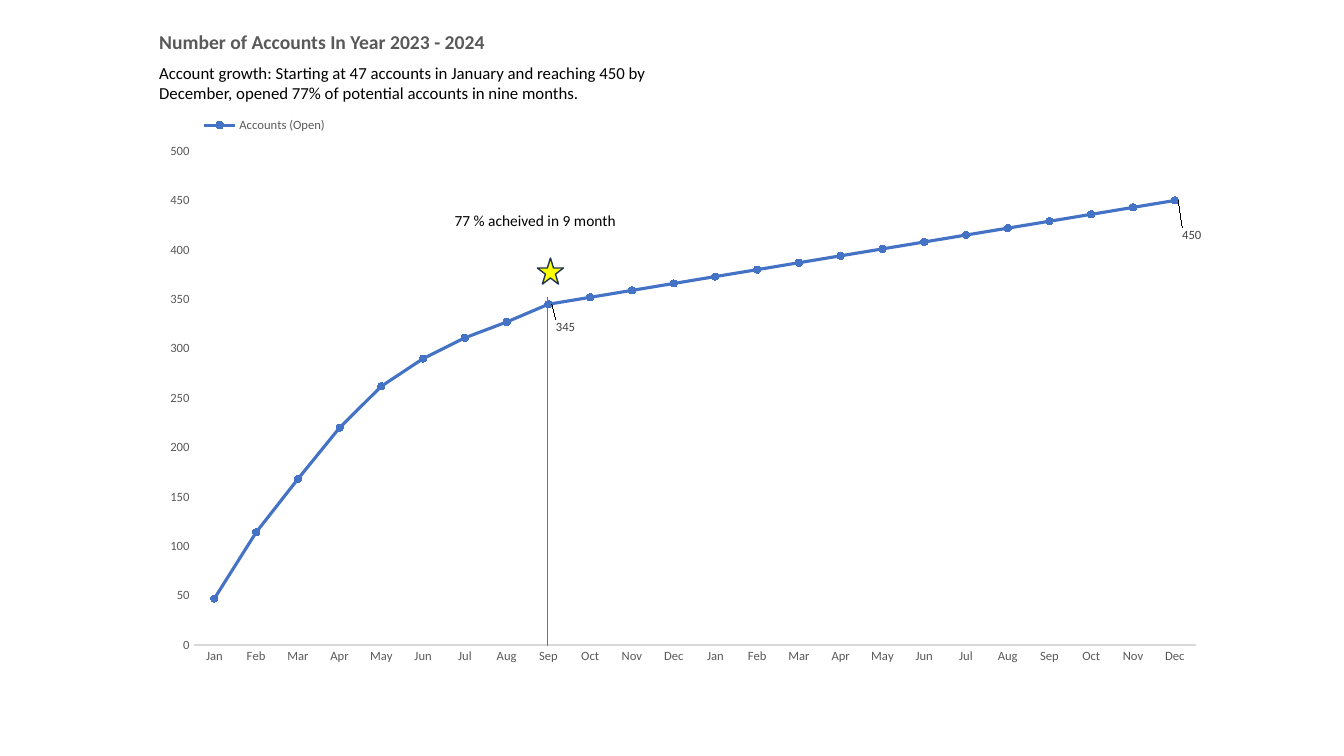
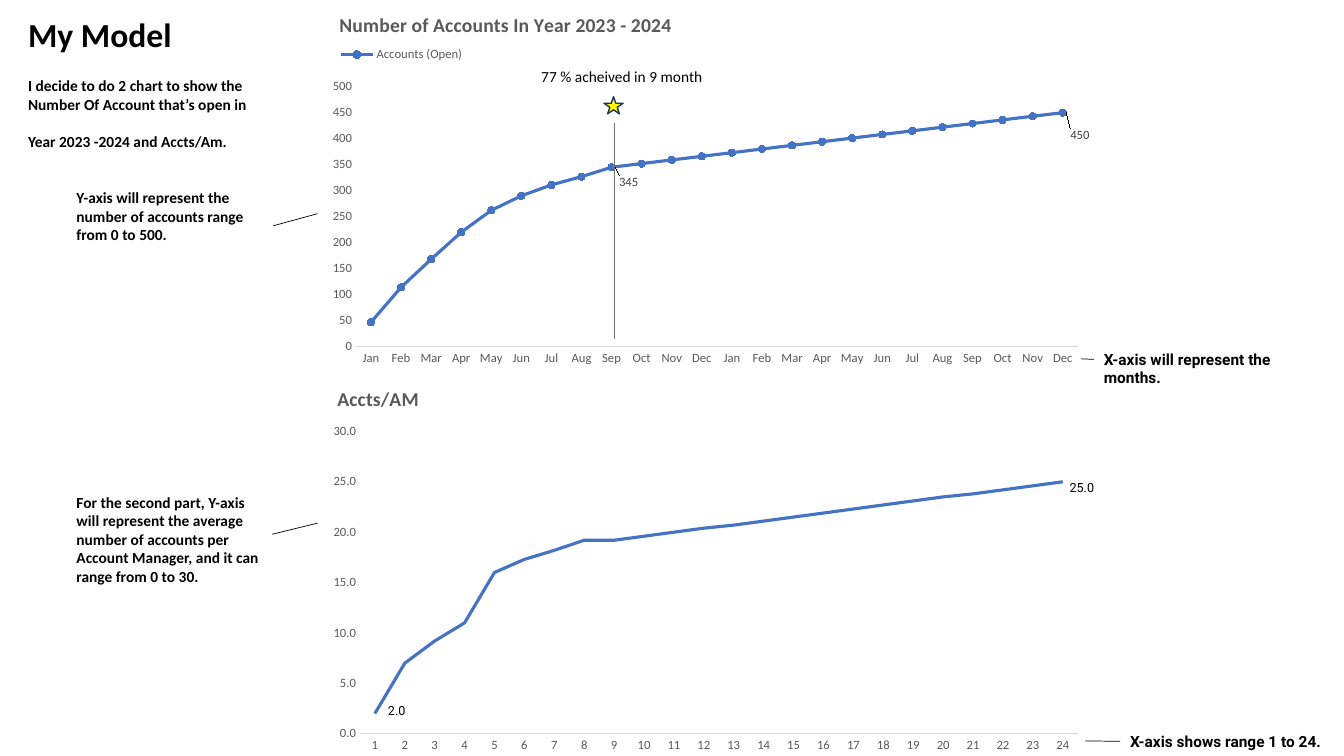
from lxml import etree
from pptx import Presentation
from pptx.chart.data import CategoryChartData
from pptx.dml.color import RGBColor
from pptx.enum.chart import XL_CHART_TYPE as ChartType
from pptx.enum.chart import XL_LABEL_POSITION as LabelPosition
from pptx.enum.chart import XL_LEGEND_POSITION as LegendPosition
from pptx.enum.chart import XL_MARKER_STYLE as MarkerStyle
from pptx.enum.chart import XL_TICK_MARK as TickMark
from pptx.enum.shapes import MSO_CONNECTOR as Connector
from pptx.enum.shapes import MSO_SHAPE as Shape
from pptx.oxml.ns import qn
from pptx.util import Inches, Pt

COLORS = {
    "text": "000000", "heading": "595959", "label": "404040", "series": "4472C4",
    "axis": "D9D9D9", "marker_line": "767171", "star": "FFFF00", "star_line": "1E3256",
}
BODY, ACCENT = "Calibri", "Roboto"
LEFT, RIGHT = 1, 3

MONTHS = "Jan Feb Mar Apr May Jun Jul Aug Sep Oct Nov Dec".split()
ACCOUNTS = [47, 114, 168, 220, 262, 290, 311, 327, 345] + list(range(352, 451, 7))
PER_MANAGER = [2, 7, 9.2, 11, 16, 17.3, 18.2, 19.2, 19.2, 19.6, 20, 20.4, 20.7, 21.1,
               21.5, 21.9, 22.3, 22.7, 23.1, 23.5, 23.8, 24.2, 24.6, 25]
ACCOUNTS_TITLE = "Number of Accounts In Year 2023 - 2024"
MILESTONE = "77 % acheived in 9 month"
LABELLED_POINTS = {8: 0.04, 23: 0.06}

ACCOUNTS_CHART = dict(name="Accounts (Open)", categories=MONTHS * 2, values=ACCOUNTS,
                      top_value=500, step=50, number_format="General", marked=True)
MANAGER_CHART = dict(name="Accts/AM", categories=[str(n) for n in range(1, 25)],
                     values=PER_MANAGER, top_value=30, step=5, number_format="0.0",
                     marked=False)

OVERVIEW = dict(frame=(1.48, 1.01, 10.59, 5.69), plot=(1.92, 1.5, 9.94, 4.9),
                legend_at=(1.98, 1.13))
OVERVIEW_MILESTONE = dict(line=(5.43, 6.41, 5.43, 2.95), note=(4.41, 2.05, 2.61, 0.34),
                          star=(5.33, 2.56, 0.26, 0.26))
OVERVIEW_TEXTS = [
    ((1.48, 0.25, 3.7, 0.57), [ACCOUNTS_TITLE], 14, True, BODY, "heading"),
    ((1.48, 0.57, 5.18, 0.5),
     ["Account growth: Starting at 47 accounts in January and reaching 450 by December, "
      "opened 77% of potential accounts in nine months."], 12, False, BODY, "text"),
]

MODEL_TOP = dict(frame=(3.15, -0.06, 7.7, 3.77), plot=(3.53, 0.86, 7.16, 2.58),
                 legend_at=(3.34, 0.43), title=ACCOUNTS_TITLE, title_at=(3.33, 0.08))
MODEL_BOTTOM = dict(frame=(3.15, 3.64, 7.7, 3.91), plot=(3.57, 4.28, 7.12, 3.0),
                    title="Accts/AM", title_at=(3.31, 3.79))
MODEL_MILESTONE = dict(line=(6.09, 3.36, 6.09, 1.22), note=(5.27, 0.62, 1.9, 0.32),
                       star=(5.99, 0.96, 0.19, 0.17))
MODEL_TEXTS = [
    ((0.18, 0.09, 1.9, 0.5), ["My Model"], 24, True, BODY, "text"),
    ((0.18, 0.71, 2.4, 0.84),
     ["I decide to do 2 chart to show the Number Of Account that’s open in",
      "Year 2023 -2024 and Accts/Am."], 11, True, BODY, "text"),
    ((0.66, 4.84, 2.05, 1.03),
     ["For the second part, Y-axis will represent the average number of accounts per "
      "Account Manager, and it can range from 0 to 30."], 11, True, BODY, "text"),
    ((3.75, 6.92, 0.6, 0.25), ["2.0"], 9, False, ACCENT, "text"),
    ((10.51, 4.71, 0.6, 0.25), ["25.0"], 9, False, ACCENT, "text"),
]
JOINED_NOTES = [
    ((0.66, 1.82, 2.05, 0.84),
     ["Y-axis will represent the number of accounts range from 0 to 500."],
     BODY, (3.15, 2.12), RIGHT),
    ((10.85, 3.42, 2.37, 0.29), ["X-axis will represent the months."],
     ACCENT, (10.72, 3.56), LEFT),
    ((11.11, 7.21, 2.22, 0.29), ["X-axis shows range 1 to 24."],
     ACCENT, (10.76, 7.35), LEFT),
]
MANAGER_POINTER = (2.7, 5.3, 3.15, 5.19)


def color(name):
    return RGBColor.from_string(COLORS[name])


def inches(values):
    return [Inches(value) for value in values]


def style_font(font, size, tone, face=BODY, bold=False):
    font.size, font.name, font.bold = Pt(size), face, bold
    font.color.rgb = color(tone)


def style_line(line, tone, width):
    line.color.rgb = color(tone)
    line.width = Pt(width)


def add_text(page, area, paragraphs, size, bold=False, face=BODY, tone="text"):
    box = page.shapes.add_textbox(*inches(area))
    frame = box.text_frame
    frame.word_wrap = True
    for number, text in enumerate(paragraphs):
        para = frame.add_paragraph() if number else frame.paragraphs[0]
        if number:
            para.space_before = Pt(13)
        span = para.add_run()
        span.text = text
        style_font(span.font, size, tone, face, bold)
    return box


def add_line(page, points, tone="text"):
    line = page.shapes.add_connector(Connector.STRAIGHT, *inches(points))
    style_line(line.line, tone, 0.5)
    etree.SubElement(line._element.spPr, qn("a:effectLst"))
    return line


def add_layout(parent, index, **settings):
    for old in parent.findall(qn("c:layout")):
        parent.remove(old)
    layout = etree.Element(qn("c:layout"))
    manual = etree.SubElement(layout, qn("c:manualLayout"))
    for tag, value in settings.items():
        etree.SubElement(manual, qn(f"c:{tag}")).set("val", str(value))
    parent.insert(index, layout)


def fractions(frame, at):
    left, top, width, height = frame
    return dict(x=round((at[0] - left) / width, 4), y=round((at[1] - top) / height, 4))


def style_axes(chart, top_value, step, number_format):
    months, amounts = chart.category_axis, chart.value_axis
    for axis in (months, amounts):
        axis.major_tick_mark = axis.minor_tick_mark = TickMark.NONE
        axis.has_major_gridlines = False
        style_font(axis.tick_labels.font, 9, "heading")
    style_line(months.format.line, "axis", 0.75)
    amounts.format.line.fill.background()
    amounts.minimum_scale, amounts.maximum_scale = 0, top_value
    amounts.major_unit = step
    amounts.tick_labels.number_format = number_format
    amounts.tick_labels.number_format_is_linked = False


def mark_series(series):
    series.marker.style, series.marker.size = MarkerStyle.CIRCLE, 5
    series.marker.format.fill.solid()
    series.marker.format.fill.fore_color.rgb = color("series")
    style_line(series.marker.format.line, "series", 0.75)
    series.data_labels.show_value = False
    for index, drop in LABELLED_POINTS.items():
        label = series.points[index].data_label
        label.position = LabelPosition.RIGHT
        style_font(label.font, 9, "label")
    for item in series.data_labels._element.findall(qn("c:dLbl")):
        drop = LABELLED_POINTS[int(item.find(qn("c:idx")).get("val"))]
        add_layout(item, 1, x=0, y=drop)


def add_line_chart(page, frame, plot, name, categories, values, top_value, step,
                   number_format, marked, legend_at=None, title=None, title_at=None):
    data = CategoryChartData(number_format=number_format)
    data.categories = categories
    data.add_series(name, values)
    kind = ChartType.LINE_MARKERS if marked else ChartType.LINE
    chart = page.shapes.add_chart(kind, *inches(frame), data).chart
    style_font(chart.font, 10, "text")
    chart.plots[0].vary_by_categories = False
    series = chart.plots[0].series[0]
    series.smooth = False
    style_line(series.format.line, "series", 2.25)
    if marked:
        mark_series(series)
    style_axes(chart, top_value, step, number_format)

    edges = dict(xMode="edge", yMode="edge")
    add_layout(chart._chartSpace.chart.plotArea, 0, layoutTarget="inner", **edges,
               **fractions(frame, plot[:2]),
               w=round(plot[2] / frame[2], 4), h=round(plot[3] / frame[3], 4))
    chart.has_legend = legend_at is not None
    if legend_at:
        chart.legend.position = LegendPosition.TOP
        chart.legend.include_in_layout = False
        style_font(chart.legend.font, 9, "heading")
        add_layout(chart.legend._element, 1, **edges, **fractions(frame, legend_at))
    chart.has_title = title is not None
    if title:
        span = chart.chart_title.text_frame.paragraphs[0].add_run()
        span.text = title
        style_font(span.font, 14, "heading", bold=True)
        add_layout(chart.chart_title._element, 1, **edges, **fractions(frame, title_at))


def add_milestone(page, line, note, star):
    add_line(page, line, "marker_line")
    add_text(page, note, [MILESTONE], 11)
    badge = page.shapes.add_shape(Shape.STAR_5_POINT, *inches(star))
    badge.shadow.inherit = False
    badge.fill.solid()
    badge.fill.fore_color.rgb = color("star")
    style_line(badge.line, "star_line", 1)


def add_joined_note(page, area, paragraphs, face, target, side):
    box = add_text(page, area, paragraphs, 11, True, face)
    left, top, width, height = area
    edge = (left + (width if side == RIGHT else 0), top + height / 2)
    if side == RIGHT:
        add_line(page, edge + target).begin_connect(box, side)
    else:
        add_line(page, target + edge).end_connect(box, side)


def build_overview(page):
    add_line_chart(page, **ACCOUNTS_CHART, **OVERVIEW)
    add_milestone(page, **OVERVIEW_MILESTONE)
    for text in OVERVIEW_TEXTS:
        add_text(page, *text)


def build_model(page):
    add_line_chart(page, **ACCOUNTS_CHART, **MODEL_TOP)
    add_milestone(page, **MODEL_MILESTONE)
    add_line_chart(page, **MANAGER_CHART, **MODEL_BOTTOM)
    for text in MODEL_TEXTS:
        add_text(page, *text)
    for note in JOINED_NOTES:
        add_joined_note(page, *note)
    add_line(page, MANAGER_POINTER)


def main():
    deck = Presentation()
    deck.slide_width, deck.slide_height = Inches(13.33), Inches(7.5)
    for build in (build_overview, build_model):
        build(deck.slides.add_slide(deck.slide_layouts[6]))
    deck.save("out.pptx")


if __name__ == "__main__":
    main()
